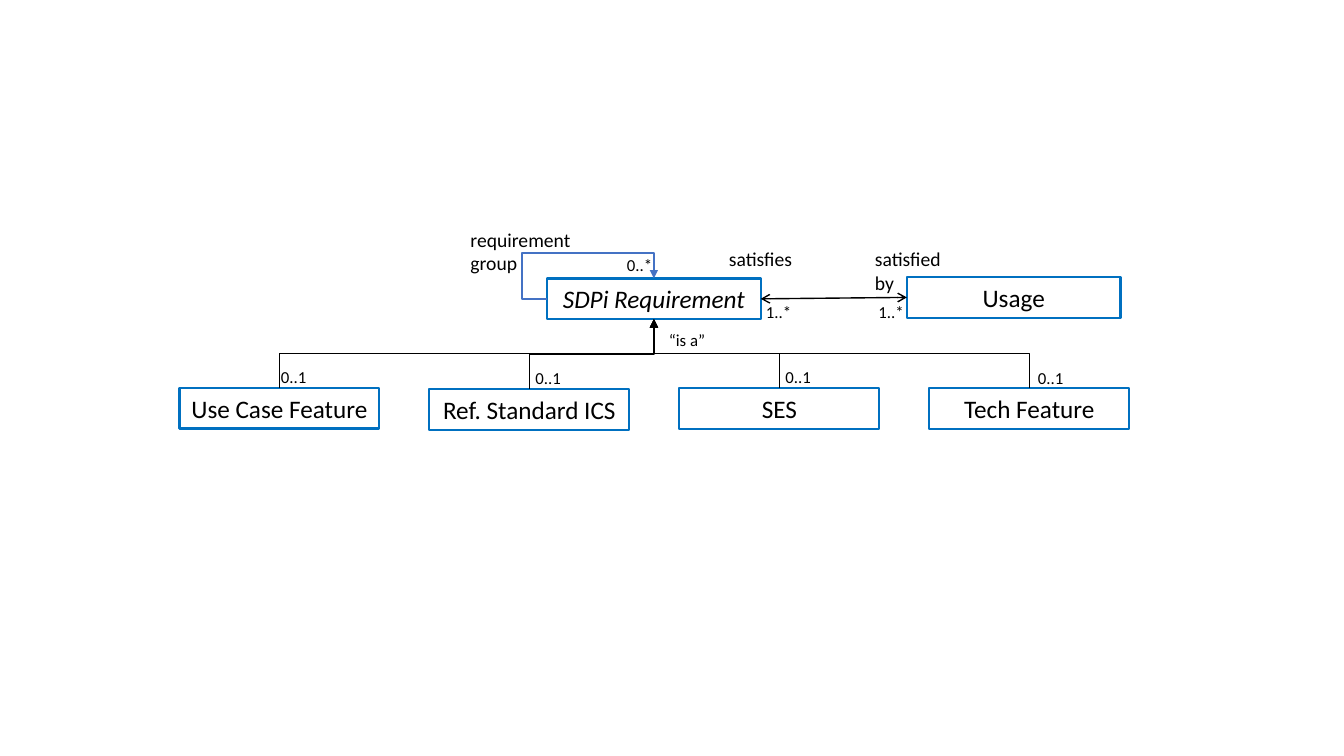
"""Build a slide with the class diagram of SDPi requirements."""
from dataclasses import dataclass

from lxml import etree
from pptx import Presentation
from pptx import util as u
from pptx.dml.color import RGBColor
from pptx.enum import shapes, text
from pptx.oxml import ns

BLACK = RGBColor(0x00, 0x00, 0x00)
BOX_BLUE = RGBColor(0x00, 0x70, 0xC0)
LOOP_BLUE = RGBColor(0x44, 0x72, 0xC4)
FONT = "Calibri"
TOP, LEFT, BOTTOM, RIGHT = range(4)
BOX_HEIGHT = 29.1
CHILD_LEFT, CHILD_PITCH, CHILD_WIDTH = 128.2, 178.56, 142.8


@dataclass(frozen=True)
class Box:
    name: str
    left: float
    top: float
    width: float
    italic: bool = False


@dataclass(frozen=True)
class Label:
    words: str
    left: float
    top: float
    width: float = 36.7
    height: float = 21.8
    size: float = 12
    align: text.PP_ALIGN = text.PP_ALIGN.CENTER


REQUIREMENT = Box("SDPi Requirement", 390.8, 198.9, 152.6, True)
USAGE = Box("Usage", 647.8, 197.9, 152.6)
CHILDREN = [
    Box(name, CHILD_LEFT + index * CHILD_PITCH, top, CHILD_WIDTH)
    for index, (name, top) in enumerate([
        ("Use Case Feature", 277.0), ("Ref. Standard ICS", 277.8),
        ("SES", 277.4), ("Tech Feature", 277.4),
    ])
]
LABELS = [
    Label("0..1", 191.4, 258.7),
    Label("0..1", 373.2, 259.0),
    Label("0..1", 551.8, 258.3),
    Label("0..1", 732.1, 259.0),
    Label("“is a”", 463.7, 231.8, width=54),
    Label("1..*", 537.8, 211.7),
    Label("1..*", 618.1, 211.7),
    Label("0..*", 438.5, 178.6),
    Label("satisfies", 509.0, 172.8, 68.4, 24.2, 14),
    Label("satisfied by", 617.8, 172.8, 68.4, 41.2, 14, text.PP_ALIGN.LEFT),
    Label("requirement group", 329.0, 159.1, 91.4, 41.2, 14, text.PP_ALIGN.LEFT),
]


def write(shape, words: str, size: float, align: text.PP_ALIGN, italic: bool = False) -> None:
    """Put one formatted paragraph into a shape."""
    frame = shape.text_frame
    frame.word_wrap = True
    frame.auto_size = text.MSO_AUTO_SIZE.SHAPE_TO_FIT_TEXT
    paragraph = frame.paragraphs[0]
    paragraph.text = words
    paragraph.alignment = align
    font = paragraph.font
    font.name, font.size, font.italic = FONT, u.Pt(size), italic
    font.color.rgb = BLACK


def draw_box(slide, box: Box):
    """Draw an outlined class box."""
    shape = slide.shapes.add_shape(
        shapes.MSO_SHAPE.RECTANGLE,
        u.Pt(box.left), u.Pt(box.top), u.Pt(box.width), u.Pt(BOX_HEIGHT))
    shape.shadow.inherit = False
    shape.fill.background()
    shape.line.color.rgb = BOX_BLUE
    shape.line.width = u.Pt(1.5)
    write(shape, box.name, 18, text.PP_ALIGN.CENTER, box.italic)
    shape.text_frame.vertical_anchor = text.MSO_ANCHOR.MIDDLE
    return shape


def draw_label(slide, label: Label) -> None:
    """Draw a plain text label."""
    shape = slide.shapes.add_textbox(
        u.Pt(label.left), u.Pt(label.top), u.Pt(label.width), u.Pt(label.height))
    write(shape, label.words, label.size, label.align)


def join(slide, kind, start, start_side: int, end, end_side: int,
         ends: dict[str, str], color: RGBColor = BLACK, width: float = 1):
    """Connect two boxes with a line that carries the given arrowheads."""
    connector = slide.shapes.add_connector(kind, 0, 0, 0, 0)
    connector.begin_connect(start, start_side)
    connector.end_connect(end, end_side)
    connector.line.color.rgb = color
    connector.line.width = u.Pt(width)
    properties = connector._element.spPr
    outline = properties.find(ns.qn("a:ln"))
    for tag, arrow in ends.items():
        etree.SubElement(outline, ns.qn(f"a:{tag}"), type=arrow)
    etree.SubElement(properties, ns.qn("a:effectLst"))
    return connector


def turn(connector, degrees: int, flipped: bool) -> None:
    """Rotate a connector and set its horizontal flip."""
    transform = connector._element.spPr.find(ns.qn("a:xfrm"))
    for name in ("flipH", "flipV"):
        transform.attrib.pop(name, None)
    transform.set("rot", str(degrees * 60000))
    if flipped:
        transform.set("flipH", "1")


def draw_branch(slide, parent, child) -> None:
    """Draw a downward elbow from the parent to a child."""
    connector = join(slide, shapes.MSO_CONNECTOR.ELBOW, parent, BOTTOM, child, TOP,
                     {"headEnd": "triangle"})
    rightward = connector.end_x > connector.begin_x
    across, down = connector.width, connector.height
    middle_x = connector.left + across // 2
    middle_y = connector.top + down // 2
    connector.left, connector.top = middle_x - down // 2, middle_y - across // 2
    connector.width, connector.height = down, across
    turn(connector, 270 if rightward else 90, rightward)


def draw_loop(slide, box) -> None:
    """Draw the loop from the left side of a box to its top."""
    connector = join(slide, shapes.MSO_CONNECTOR.ELBOW, box, LEFT, box, TOP,
                     {"tailEnd": "triangle"}, LOOP_BLUE, 1.25)
    turn(connector, 180, True)
    geometry = connector._element.spPr.find(ns.qn("a:prstGeom"))
    geometry.set("prst", "bentConnector4")
    guides = geometry.find(ns.qn("a:avLst"))
    for name, value in (("adj1", -23600), ("adj2", 223800)):
        etree.SubElement(guides, ns.qn("a:gd"), name=name, fmla=f"val {value}")


def main() -> None:
    """Create and save the presentation."""
    presentation = Presentation()
    presentation.slide_width, presentation.slide_height = u.Pt(960), u.Pt(540)
    slide = presentation.slides.add_slide(presentation.slide_layouts[6])
    requirement = draw_box(slide, REQUIREMENT)
    usage = draw_box(slide, USAGE)
    for child in CHILDREN:
        draw_branch(slide, requirement, draw_box(slide, child))
    join(slide, shapes.MSO_CONNECTOR.STRAIGHT, usage, LEFT, requirement, RIGHT,
         {"headEnd": "arrow", "tailEnd": "arrow"})
    draw_loop(slide, requirement)
    for label in LABELS:
        draw_label(slide, label)
    presentation.save("out.pptx")


if __name__ == "__main__":
    main()
